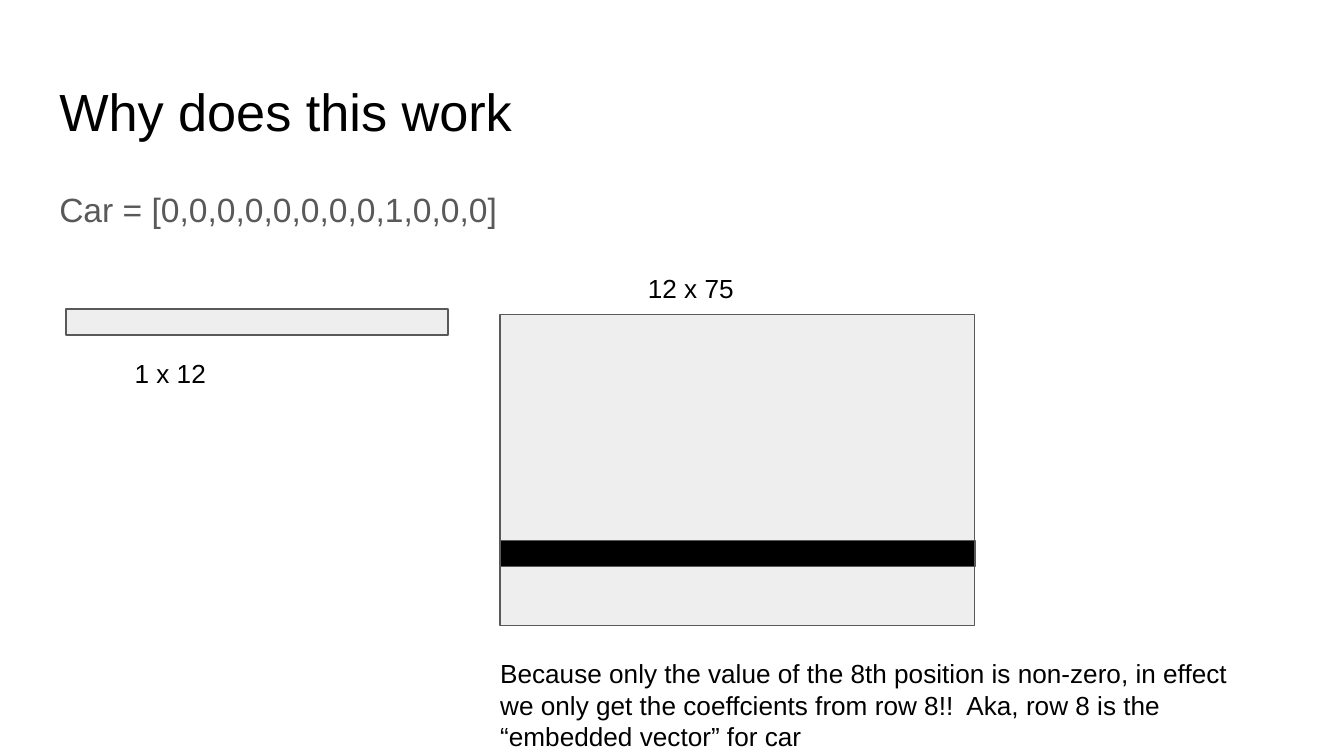
from dataclasses import dataclass

from lxml.etree import SubElement
from pptx import Presentation
from pptx.dml.color import RGBColor
from pptx.enum.shapes import MSO_SHAPE
from pptx.enum.text import MSO_ANCHOR, MSO_AUTO_SIZE, PP_ALIGN
from pptx.oxml.ns import qn
from pptx.util import Inches, Pt


@dataclass(frozen=True)
class Theme:
    font: str = "Arial"
    ink: str = "000000"
    muted: str = "595959"
    pale: str = "EEEEEE"
    title: int = 28
    body: int = 18
    caption: int = 14
    outline: float = 0.75
    inset: float = 0.1


THEME = Theme()
WIDTH = Inches(10)
HEIGHT = WIDTH * 9 // 16
MARGIN, CONTENT_WIDTH = 3.41, 93.2
CAPTION_WIDTH, CAPTION_HEIGHT = 59.1, 12.27
MATRIX_LEFT, MATRIX_WIDTH = 37.2, 35.3
ROW_HEIGHT = 3.43


def area(left, top, width, height):
    return (int(WIDTH * left / 100), int(HEIGHT * top / 100),
            int(WIDTH * width / 100), int(HEIGHT * height / 100))


def write(frame, text, size, color):
    frame.word_wrap = True
    frame.auto_size = MSO_AUTO_SIZE.NONE
    frame.vertical_anchor = MSO_ANCHOR.TOP
    frame.margin_left = frame.margin_right = Inches(THEME.inset)
    frame.margin_top = frame.margin_bottom = Inches(THEME.inset)
    frame.text = text
    paragraph = frame.paragraphs[0]
    paragraph.alignment = PP_ALIGN.LEFT
    paragraph.space_before = Pt(0)
    paragraph.font.name = THEME.font
    paragraph.font.size = Pt(size)
    paragraph.font.color.rgb = RGBColor.from_string(color)
    return paragraph


def fill_placeholder(placeholder, box, text, size, color):
    placeholder.left, placeholder.top, placeholder.width, placeholder.height = box
    return write(placeholder.text_frame, text, size, color)


def remove_bullet(paragraph):
    properties = paragraph._p.get_or_add_pPr()
    properties.set("marL", "0")
    properties.set("indent", "0")
    SubElement(properties, qn("a:buNone"))


def add_caption(slide, left, top, text):
    box = area(left, top, CAPTION_WIDTH, CAPTION_HEIGHT)
    caption = slide.shapes.add_textbox(*box)
    write(caption.text_frame, text, THEME.caption, THEME.ink)


def add_block(slide, box, color):
    block = slide.shapes.add_shape(MSO_SHAPE.RECTANGLE, *box)
    block.shadow.inherit = False
    block.fill.solid()
    block.fill.fore_color.rgb = RGBColor.from_string(color)
    block.line.color.rgb = RGBColor.from_string(THEME.muted)
    block.line.width = Pt(THEME.outline)


def main():
    deck = Presentation()
    deck.slide_width, deck.slide_height = WIDTH, HEIGHT
    slide = deck.slides.add_slide(deck.slide_layouts[1])

    fill_placeholder(slide.shapes.title, area(MARGIN, 8.7, CONTENT_WIDTH, 11.2),
                     "Why does this work", THEME.title, THEME.ink)
    encoding = fill_placeholder(slide.placeholders[1],
                                area(MARGIN, 22.4, CONTENT_WIDTH, 66.4),
                                "Car = [0,0,0,0,0,0,0,0,1,0,0,0]",
                                THEME.body, THEME.muted)
    encoding.line_spacing = 1.15
    encoding.space_after = Pt(16)
    remove_bullet(encoding)

    add_block(slide, area(4.9, 40.9, 28.43, ROW_HEIGHT), THEME.pale)
    add_block(slide, area(MATRIX_LEFT, 41.62, MATRIX_WIDTH, 12 * ROW_HEIGHT), THEME.pale)
    add_caption(slide, 9.03, 45.5, "1 x 12")
    add_caption(slide, 47.22, 34.3, "12 x 75")
    add_block(slide, area(MATRIX_LEFT + 0.06, 71.5, MATRIX_WIDTH, ROW_HEIGHT), THEME.ink)
    add_caption(slide, 36.23, 85.2,
                "Because only the value of the 8th position is non-zero, in effect "
                "we only get the coeffcients from row 8!!  Aka, row 8 is the "
                "“embedded vector” for car")

    deck.save("out.pptx")


main()
